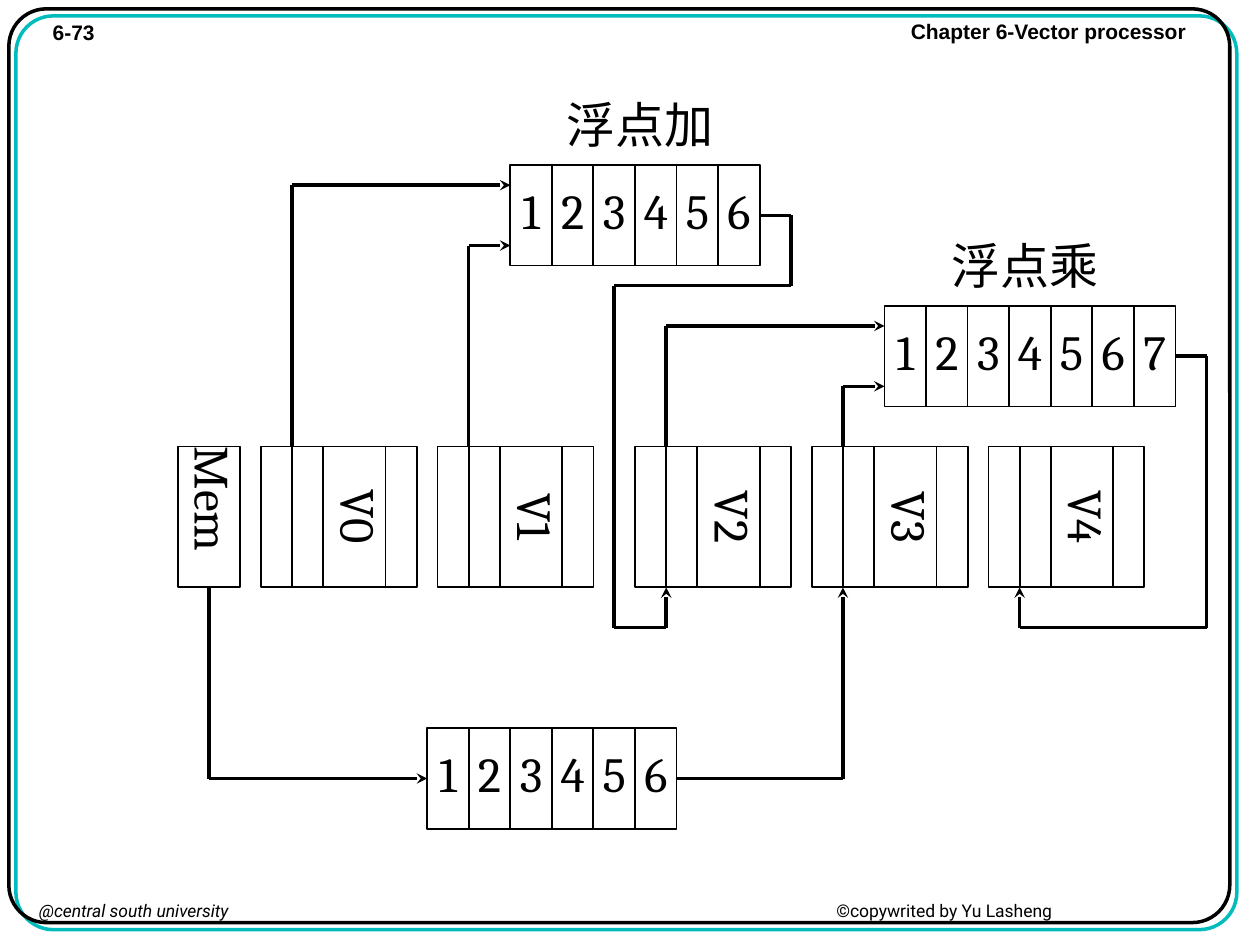
from lxml import etree
from pptx import Presentation
from pptx.dml.color import RGBColor
from pptx.enum.shapes import MSO_CONNECTOR, MSO_SHAPE
from pptx.enum.text import MSO_ANCHOR, MSO_AUTO_SIZE, PP_ALIGN
from pptx.oxml.ns import qn
from pptx.util import Emu, Inches, Pt

RECTANGLE = MSO_SHAPE.RECTANGLE
ROUNDED = MSO_SHAPE.ROUNDED_RECTANGLE
STRAIGHT = MSO_CONNECTOR.STRAIGHT
MIDDLE = MSO_ANCHOR.MIDDLE
CENTER = PP_ALIGN.CENTER

COLORS = {"ink": "000000", "shadow": "00BCBC", "background": "FFFFFF"}

# Diagram grid: four columns per pipeline stage, 56 rows down to the memory pipeline
LEFT, TOP = 1.41, 1.31
COLUMN, ROW = 0.33 / 4, 4.47 / 56
STAGE_WIDTH, STAGE_HEIGHT = 4, 10
REGISTER_TOP, REGISTER_HEIGHT = 28, 14
REGISTER_BOTTOM = REGISTER_TOP + REGISTER_HEIGHT

REGISTERS = {"V0": 8, "V1": 25, "V2": 44, "V3": 61, "V4": 78}
PIPELINES = [(32, 0, 6), (68, 14, 7), (24, 56, 6)]  # column, row, stages
TITLES = [("浮点加", 36, -7), ("浮点乘", 73, 7)]


def grid_x(column):
    return Inches(LEFT + column * COLUMN)


def grid_y(row):
    return Inches(TOP + row * ROW)


def color(name):
    return RGBColor.from_string(COLORS[name])


def format_run(run, font_name, size, bold=False, italic=False):
    font = run.font
    font.name, font.size = font_name, Pt(size)
    font.bold, font.italic = bold, italic
    font.color.rgb = color("ink")


def write_label(shape, text):
    frame = shape.text_frame
    frame.text = text
    frame.word_wrap = False
    frame.vertical_anchor = MIDDLE
    frame.margin_left = frame.margin_right = Inches(0.04)
    frame.margin_top = frame.margin_bottom = 0
    paragraph = frame.paragraphs[0]
    paragraph.alignment = CENTER
    paragraph.line_spacing = 0.8
    format_run(paragraph.runs[0], "Cambria", 28)


def add_outline(slide, preset, left, top, width, height, weight):
    shape = slide.shapes.add_shape(preset, left, top, width, height)
    shape.shadow.inherit = False
    shape.fill.background()
    shape.line.color.rgb = color("ink")
    shape.line.width = Pt(weight)
    return shape


def add_box(slide, column, row, columns, rows, text=None):
    shape = add_outline(slide, RECTANGLE, grid_x(column), grid_y(row),
                        Inches(columns * COLUMN), Inches(rows * ROW), 1)
    if text:
        write_label(shape, text)
    return shape


def add_frame(slide, presentation):
    width, height = presentation.slide_width, presentation.slide_height
    frame = add_outline(slide, ROUNDED, Inches(0.07), Inches(0.07),
                        Emu(int(width * 0.969)), Emu(int(height * 0.967)), 2)
    frame.adjustments[0] = 0.041
    # Solid shadow towards the lower right
    effects = frame._element.spPr.find(qn("a:effectLst"))
    shadow = etree.SubElement(effects, qn("a:outerShdw"), dist=str(Pt(5.7)),
                              dir="2700000", algn="ctr", rotWithShape="0")
    etree.SubElement(shadow, qn("a:srgbClr"), val=COLORS["shadow"])


def add_margin_text(slide, left, top, width, height, parts, size, font_name,
                    bold=False, wrap=True, tab=None):
    box = slide.shapes.add_textbox(Inches(left), Inches(top), Inches(width), Inches(height))
    frame = box.text_frame
    frame.word_wrap = wrap
    frame.auto_size = MSO_AUTO_SIZE.SHAPE_TO_FIT_TEXT
    paragraph = frame.paragraphs[0]
    if tab:
        tabs = etree.SubElement(paragraph._p.get_or_add_pPr(), qn("a:tabLst"))
        etree.SubElement(tabs, qn("a:tab"), pos=str(Inches(tab)), algn="l")
    for text, italic in parts:
        run = paragraph.add_run()
        run.text = text
        format_run(run, font_name, size, bold, italic)


def add_title(slide, text, column, row):
    box = slide.shapes.add_textbox(grid_x(column), grid_y(row),
                                   Inches(17 * COLUMN), Inches(7 * ROW))
    write_label(box, text)


def add_pipeline(slide, column, row, stages):
    for stage in range(stages):
        add_box(slide, column + stage * STAGE_WIDTH, row,
                STAGE_WIDTH, STAGE_HEIGHT, str(stage + 1))


def add_register(slide, name, column):
    # The wide field is a lying box turned by a quarter
    field = add_box(slide, column + 6, REGISTER_TOP, 6, REGISTER_HEIGHT, name)
    center_x, center_y = field.left + field.width // 2, field.top + field.height // 2
    field.width, field.height = field.height, field.width
    field.left, field.top = center_x - field.width // 2, center_y - field.height // 2
    field.rotation = 90
    for offset in (0, 3, 12):
        add_box(slide, column + offset, REGISTER_TOP, 3, REGISTER_HEIGHT)


def add_route(slide, *points):
    """Draw straight segments through grid points, with an arrowhead at the last one."""
    for start, end in zip(points, points[1:]):
        line = slide.shapes.add_connector(STRAIGHT, grid_x(start[0]), grid_y(start[1]),
                                          grid_x(end[0]), grid_y(end[1]))
        line.line.color.rgb = color("ink")
        line.line.width = Pt(2)
        if end == points[-1]:
            etree.SubElement(line.line._get_or_add_ln(), qn("a:tailEnd"), type="stealth")
        etree.SubElement(line._element.spPr, qn("a:effectLst"))


def add_routes(slide):
    port = {name: column + 3 for name, column in REGISTERS.items()}
    (add_x, add_y, add_stages), (mul_x, mul_y, mul_stages), (mem_x, mem_y, mem_stages) = PIPELINES
    add_end = add_x + add_stages * STAGE_WIDTH
    mul_end = mul_x + mul_stages * STAGE_WIDTH
    mem_end = mem_x + mem_stages * STAGE_WIDTH
    return_row = REGISTER_BOTTOM + 4

    # Register operands into the adder and the multiplier
    for name, x, y in (("V0", add_x, add_y + 2), ("V1", add_x, add_y + 8),
                       ("V2", mul_x, mul_y + 2), ("V3", mul_x, mul_y + 8)):
        add_route(slide, (port[name], REGISTER_TOP), (port[name], y), (x, y))

    # Results back to the registers
    add_route(slide, (add_end, add_y + 5), (add_end + 3, add_y + 5), (add_end + 3, 12),
              (42, 12), (42, return_row), (port["V2"], return_row),
              (port["V2"], REGISTER_BOTTOM))
    add_route(slide, (mul_end, mul_y + 5), (mul_end + 3, mul_y + 5),
              (mul_end + 3, return_row), (port["V4"], return_row),
              (port["V4"], REGISTER_BOTTOM))

    # Memory through its pipeline to V3
    add_route(slide, (3, REGISTER_BOTTOM), (3, mem_y + 5), (mem_x, mem_y + 5))
    add_route(slide, (mem_end, mem_y + 5), (port["V3"], mem_y + 5),
              (port["V3"], REGISTER_BOTTOM))


def main():
    presentation = Presentation()
    presentation.slide_width, presentation.slide_height = Inches(10), Inches(7.5)
    slide = presentation.slides.add_slide(presentation.slide_layouts[6])
    slide.background.fill.solid()
    slide.background.fill.fore_color.rgb = color("background")

    # Frame, header and footer
    add_frame(slide, presentation)
    add_margin_text(slide, 0.32, 0.11, 0.56, 0.3, [("6-73", False)], 12, "Arial", bold=True)
    add_margin_text(slide, 7.13, 0.1, 2.39, 0.3, [("Chapter 6-Vector processor", False)],
                    12, "Arial", bold=True, wrap=False)
    add_margin_text(slide, 0.21, 7.09, 9.58, 0.26,
                    [("@central south university", True), ("\t©copywrited by Yu Lasheng", False)],
                    10, "Roboto", tab=6.33)

    # Functional units
    for title in TITLES:
        add_title(slide, *title)
    for pipeline in PIPELINES:
        add_pipeline(slide, *pipeline)

    # Memory and vector registers
    memory = add_box(slide, 0, REGISTER_TOP, 6, REGISTER_HEIGHT, "Mem")
    memory.text_frame._txBody.bodyPr.set("vert", "eaVert")
    for name, column in REGISTERS.items():
        add_register(slide, name, column)

    add_routes(slide)
    presentation.save("out.pptx")


if __name__ == "__main__":
    main()
